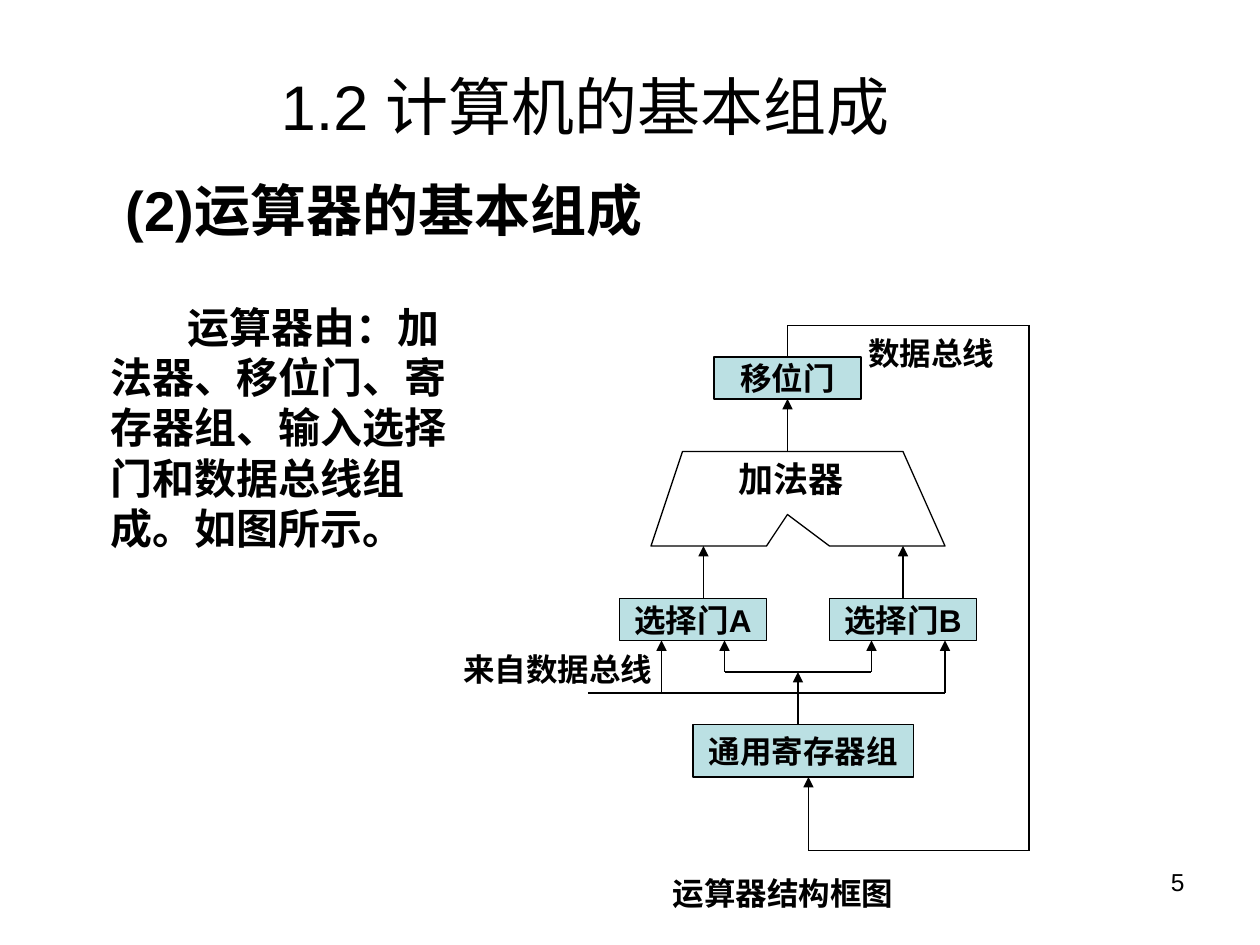
import itertools

import pptx
import pptx.dml.color
import pptx.enum.shapes
import pptx.enum.text
import pptx.oxml
import pptx.oxml.ns
import pptx.util
from pptx.util import Cm

Align = pptx.enum.text.PP_ALIGN
Anchor = pptx.enum.text.MSO_ANCHOR

GRID = 2.54 / 12  # the diagram sits on a grid of twelfths of an inch, in cm
BLACK, GATE_FILL = "000000", "BBE0E3"

TITLE = ("1.2 计算机的基本组成", (5.41, 1.24, 15, 1.78))

# text, (left, top, width, height) in cm, size, bold, format
TEXTS = [
    ("(2)运算器的基本组成", (2.29, 3.4, 17.3, 1.63), 32, True, {"wrap": True}),
    ("运算器由：加法器、移位门、寄存器组、输入选择门和数据总线组成。如图所示。",
     (1.98, 5.94, 7.62, 5.33), 24, True, {"wrap": True, "indent": 1.55}),
    ("加法器", (14.63, 9.09, 2.62, 1.12), 20, True, {}),
    ("数据总线", (17.25, 6.6, 3.05, 1.02), 18, True, {}),
    ("来自数据总线", (9.09, 12.98, 4.32, 1.02), 18, True, {}),
    ("运算器结构框图", (13.31, 17.48, 4.95, 1.02), 18, True, {}),
    ("5", (18.21, 17.35, 5.92, 1.32), 14, False,
     {"wrap": True, "align": Align.RIGHT}),
]

# name: text, (left, top, width, height) in grid units
GATES = {
    "shifter": ("移位门", (68, 34, 14, 4)),
    "gate_a": ("选择门A", (59, 57, 14, 4)),
    "gate_b": ("选择门B", (79, 57, 14, 4)),
    "registers": ("通用寄存器组", (66, 69, 21, 5)),
}

ADDER = [(65, 43), (86, 43), (90, 52), (79, 52), (75, 49), (73, 52), (62, 52)]

# points in grid units, arrow at the last point, (gate, site) joined at start, at end
WIRES = [
    ([(67, 57), (67, 52)], True, None, None),
    ([(86, 57), (86, 52)], True, ("gate_b", 0), None),
    ([(75, 43), (75, 38)], True, None, ("shifter", 2)),
    ([(75, 34), (75, 31), (98, 31), (98, 81), (77, 81), (77, 74)],
     True, ("shifter", 0), None),
    ([(76, 69), (76, 64)], True, None, None),
    ([(69, 64), (83, 64), (83, 61)], True, None, None),
    ([(69, 64), (69, 61)], True, None, None),
    ([(56, 66), (90, 66), (90, 61)], True, None, None),
    ([(63, 66), (63, 61)], True, None, None),
]


def color(hex_string):
    return pptx.dml.color.RGBColor.from_string(hex_string)


def grid(*values):
    return [Cm(value * GRID) for value in values]


def set_attributes(target, values):
    for name, value in values.items():
        setattr(target, name, value)


def make_element(tag, attributes=""):
    return pptx.oxml.parse_xml(
        f"<{tag} {pptx.oxml.ns.nsdecls('a')} {attributes}/>")


def write(shape, text, size, bold, wrap=False, align=Align.LEFT,
          anchor=Anchor.TOP, indent=0):
    frame = shape.text_frame
    set_attributes(frame, {
        "text": text, "word_wrap": wrap, "vertical_anchor": anchor,
        "auto_size": pptx.enum.text.MSO_AUTO_SIZE.NONE,
        "margin_left": Cm(0.25), "margin_right": Cm(0.25),
        "margin_top": Cm(0.13), "margin_bottom": Cm(0.13),
    })
    paragraph = frame.paragraphs[0]
    paragraph.alignment = align
    properties = paragraph._p.get_or_add_pPr()
    properties.set("hangingPunct", "0")
    if indent:
        properties.set("indent", str(Cm(indent)))
    set_attributes(paragraph.font, {
        "name": "Arial", "size": pptx.util.Pt(size), "bold": bold})
    paragraph.font.color.rgb = color(BLACK)


def outline(shape):
    shape.line.color.rgb = color(BLACK)
    shape.line.width = pptx.util.Pt(0.75)


def add_gate(slide, text, box):
    shape = slide.shapes.add_shape(
        pptx.enum.shapes.MSO_SHAPE.RECTANGLE, *grid(*box))
    shape.shadow.inherit = False
    shape.fill.solid()
    shape.fill.fore_color.rgb = color(GATE_FILL)
    outline(shape)
    write(shape, text, 18, True, align=Align.CENTER, anchor=Anchor.MIDDLE)
    return shape


def add_adder(slide):
    points = [grid(*point) for point in ADDER]
    builder = slide.shapes.build_freeform(*points[0])
    builder.add_line_segments(points[1:], close=True)
    shape = builder.convert_to_shape()
    shape.shadow.inherit = False
    shape.fill.background()
    outline(shape)


def add_wire(slide, gates, points, arrow, start, end):
    """Draw one straight connector per leg of the wire."""
    legs = []
    for begin, finish in itertools.pairwise(points):
        connector = slide.shapes.add_connector(
            pptx.enum.shapes.MSO_CONNECTOR.STRAIGHT, *grid(*begin, *finish))
        outline(connector)
        connector._element.spPr.append(make_element("a:effectLst"))
        legs.append(connector)
    if start:
        legs[0].begin_connect(gates[start[0]], start[1])
    if end:
        legs[-1].end_connect(gates[end[0]], end[1])
    if arrow:
        legs[-1].line._get_or_add_ln().append(
            make_element("a:tailEnd", 'type="triangle"'))


def main():
    presentation = pptx.Presentation()
    presentation.slide_width, presentation.slide_height = Cm(25.4), Cm(19.05)
    slide = presentation.slides.add_slide(presentation.slide_layouts[5])

    text, box = TITLE
    title = slide.shapes.title
    set_attributes(title, dict(zip(("left", "top", "width", "height"),
                                   map(Cm, box))))
    write(title, text, 36, False, wrap=True)

    add_adder(slide)
    gates = {name: add_gate(slide, *gate) for name, gate in GATES.items()}
    for wire in WIRES:
        add_wire(slide, gates, *wire)
    for text, box, size, bold, text_format in TEXTS:
        write(slide.shapes.add_textbox(*map(Cm, box)), text, size, bold,
              **text_format)

    presentation.save("out.pptx")


if __name__ == "__main__":
    main()
